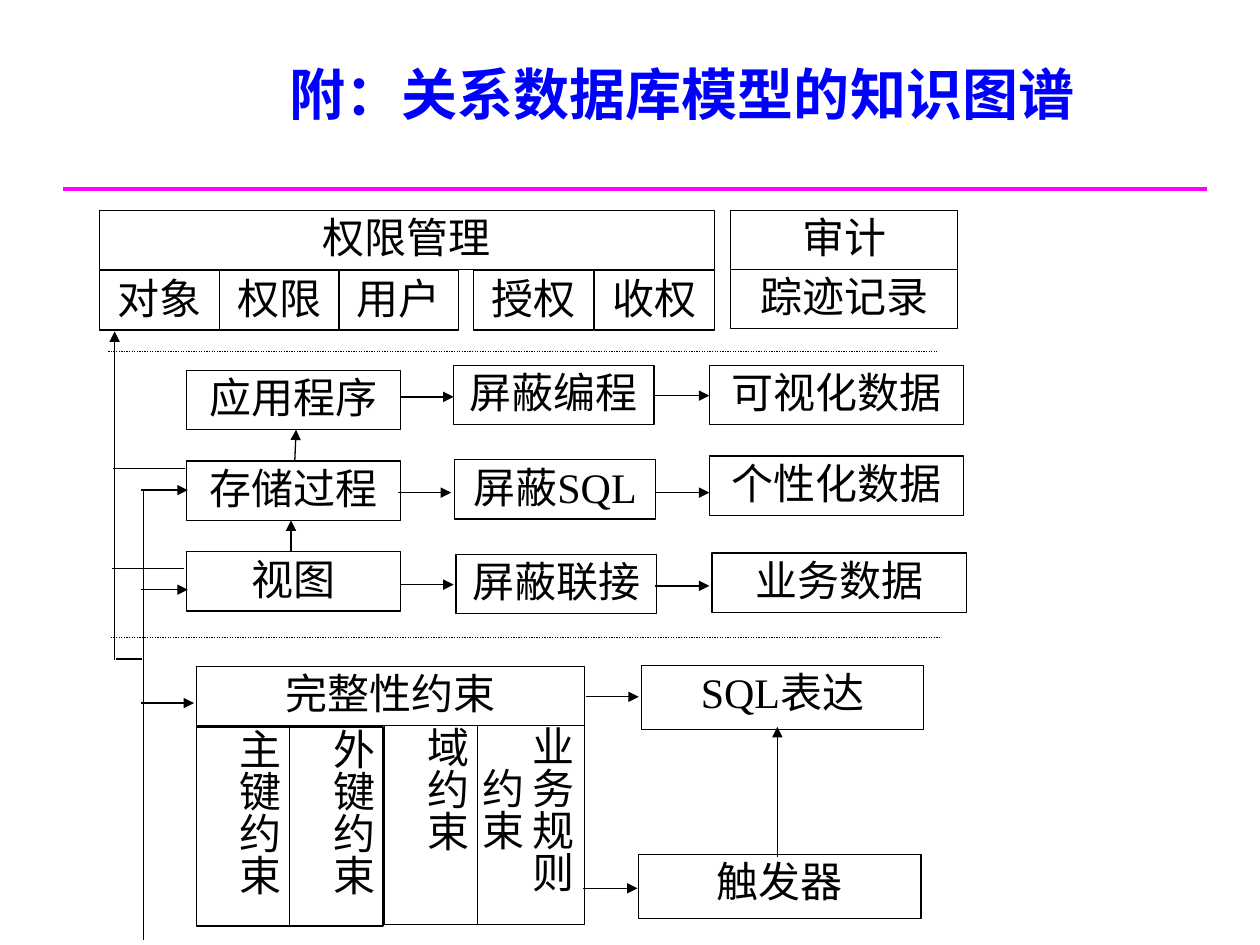
"""Build the knowledge map of the relational database model."""
from dataclasses import dataclass

from lxml import etree
from pptx import Presentation, util as u
from pptx.dml.color import RGBColor
from pptx.enum import dml, shapes, text
from pptx.oxml.ns import qn

PX = 9144
COLOURS = {"title": "0000FF", "rule": "FF00FF", "ink": "000000", "paper": "FFFFFF"}
TITLE_FONT = "Noto Sans CJK SC"
BODY_FONT = "Times New Roman"
ROW = 47
CENTER = text.PP_ALIGN.CENTER
LEFT = text.PP_ALIGN.LEFT


@dataclass(frozen=True)
class Box:
    label: str
    left: int
    top: int
    width: int
    height: int = ROW
    side: int = 6
    end: int = 1
    vertical: bool = False
    align: text.PP_ALIGN = CENTER


@dataclass(frozen=True)
class Line:
    x1: int
    y1: int
    x2: int
    y2: int
    arrow: bool = True
    dotted: bool = False
    colour: str = "ink"
    points: float = 0.75


def px(value: int) -> u.Emu:
    return u.Emu(value * PX)


def rgb(name: str) -> RGBColor:
    return RGBColor.from_string(COLOURS[name])


def write(para, label: str, font: str, size: int, colour: str, bold: bool = False) -> None:
    span = para.add_run()
    span.text = label
    span.font.name = font
    span.font.size = u.Pt(size)
    span.font.bold = bold
    span.font.color.rgb = rgb(colour)
    if font == TITLE_FONT:
        latin = span.font._element.find(qn("a:latin"))
        east_asian = etree.Element(qn("a:ea"), typeface=font)
        latin.addnext(east_asian)


def draw_box(page, box: Box) -> None:
    shape = page.shapes.add_shape(
        shapes.MSO_SHAPE.RECTANGLE, px(box.left), px(box.top), px(box.width), px(box.height))
    shape.shadow.inherit = False
    shape.fill.solid()
    shape.fill.fore_color.rgb = rgb("paper")
    shape.line.color.rgb = rgb("ink")
    shape.line.width = u.Pt(0.75)
    frame = shape.text_frame
    frame.word_wrap = True
    frame.vertical_anchor = text.MSO_ANCHOR.TOP
    frame.margin_left = frame.margin_right = px(box.side)
    frame.margin_top = frame.margin_bottom = px(box.end)
    if box.vertical:
        shape.element.txBody.find(qn("a:bodyPr")).set("vert", "eaVert")
    para = frame.paragraphs[0]
    para.alignment = box.align
    write(para, box.label, BODY_FONT, 24, "ink")


def draw_line(page, line: Line) -> None:
    connector = page.shapes.add_connector(
        shapes.MSO_CONNECTOR.STRAIGHT, px(line.x1), px(line.y1), px(line.x2), px(line.y2))
    connector.line.color.rgb = rgb(line.colour)
    connector.line.width = u.Pt(line.points)
    if line.dotted:
        connector.line.dash_style = dml.MSO_LINE.ROUND_DOT
    properties = connector.element.spPr
    if line.arrow:
        etree.SubElement(properties.find(qn("a:ln")), qn("a:tailEnd"), type="triangle")
    etree.SubElement(properties, qn("a:effectLst"))


def draw_title(page, label: str) -> None:
    title = page.shapes.title
    title.left, title.top, title.width, title.height = px(95), px(42), px(893), px(64)
    title.text_frame.vertical_anchor = text.MSO_ANCHOR.MIDDLE
    para = title.text_frame.paragraphs[0]
    para.alignment = CENTER
    write(para, label, TITLE_FONT, 32, "title", bold=True)


def permission_boxes() -> list[Box]:
    cells = zip(("对象", "权限", "用户", "授权", "收权"), (79, 174, 269, 376, 472))
    return [
        Box("审计", 580, 167, 180),
        Box("踪迹记录", 580, 214, 180),
        Box("权限管理", 79, 167, 488),
        *(Box(label, left, 215, 95, side=0) for label, left in cells),
    ]


def layer_boxes() -> list[Box]:
    rows = (
        (("应用程序", 148, 294), ("屏蔽编程", 360, 290), ("可视化数据", 563, 290)),
        (("存储过程", 148, 366), ("屏蔽SQL", 361, 365), ("个性化数据", 563, 362)),
        (("视图", 148, 438), ("屏蔽联接", 362, 440), ("业务数据", 565, 439)),
    )
    columns = ((170, 6), (159, 0), (202, 0))
    return [Box(*cell, width, side=side)
            for row in rows for cell, (width, side) in zip(row, columns)]


def constraint_boxes() -> list[Box]:
    keys = (("主键约束", 156, 577, text.PP_ALIGN.JUSTIFY),
            ("外键约束", 230, 577, LEFT), ("域约束", 305, 576, LEFT))
    return [
        Box("触发器", 507, 678, 224, 51),
        Box("SQL表达", 509, 528, 224, 51),
        Box("业务规则约束", 379, 576, 85, 158, end=0, vertical=True),
        Box("完整性约束", 156, 529, 308),
        *(Box(label, left, top, 74, 158, side=4, vertical=True, align=align)
          for label, left, top, align in keys),
    ]


def flow_lines() -> list[Line]:
    rightward = (
        (318, 315, 42), (520, 314, 43), (316, 391, 42), (520, 391, 43),
        (318, 464, 42), (520, 465, 43), (112, 389, 37), (112, 468, 37),
        (112, 558, 42), (465, 553, 42), (463, 705, 43),
    )
    upward = ((234, 365, 235, 341), (231, 437, 231, 413),
              (91, 524, 91, 263), (617, 680, 617, 577))
    plain = ((147, 372, 90, 372), (146, 451, 89, 451),
             (113, 523, 92, 523), (114, 746, 114, 388))
    dividers = ((86, 279), (88, 506))
    return [
        *(Line(x, y, x + length, y) for x, y, length in rightward),
        *(Line(*ends) for ends in upward),
        *(Line(*ends, arrow=False) for ends in plain),
        *(Line(x, y, x + 658, y, arrow=False, dotted=True) for x, y in dividers),
    ]


def main() -> None:
    deck = Presentation()
    deck.slide_width, deck.slide_height = px(1000), px(750)
    page = deck.slides.add_slide(deck.slide_layouts[5])
    draw_line(page, Line(50, 150, 958, 150, arrow=False, colour="rule", points=2))
    draw_title(page, "附：关系数据库模型的知识图谱")
    for box in permission_boxes() + layer_boxes() + constraint_boxes():
        draw_box(page, box)
    for line in flow_lines():
        draw_line(page, line)
    deck.save("out.pptx")


if __name__ == "__main__":
    main()
